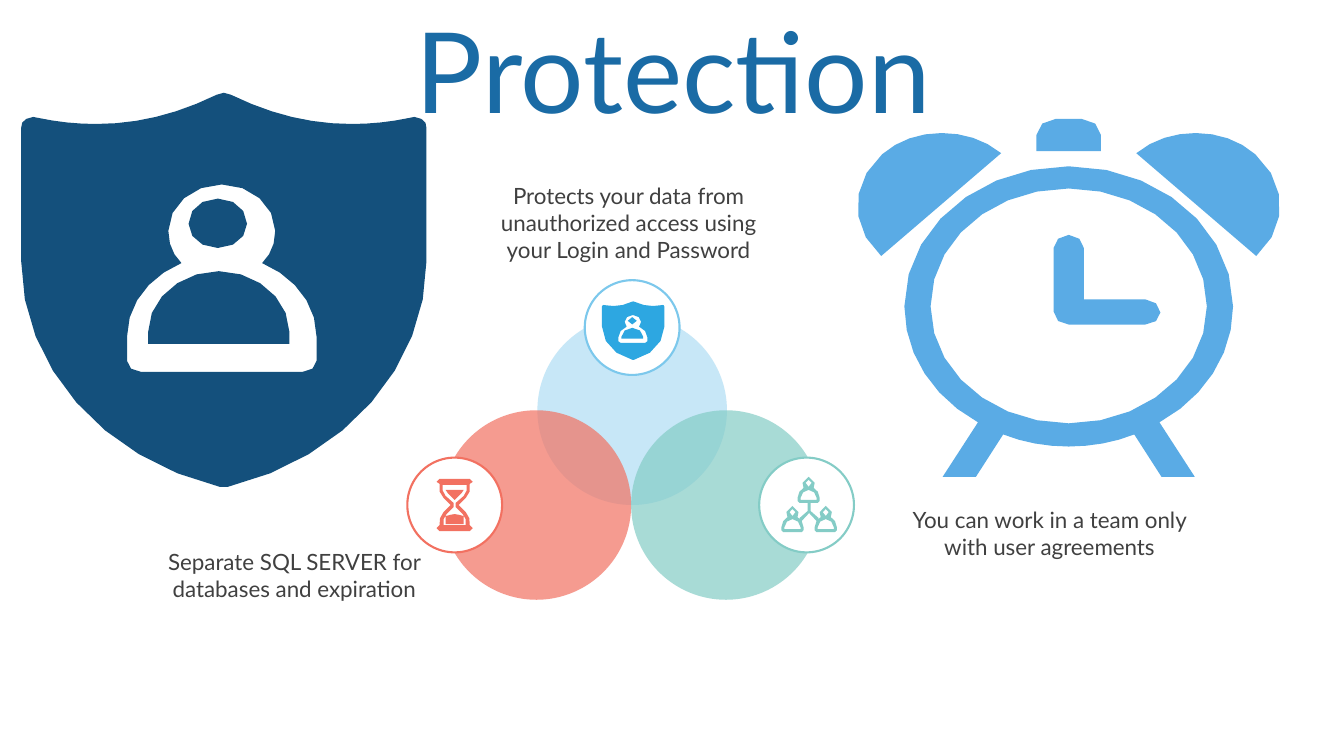
import math
from pptx import Presentation
from pptx import util as u
from pptx.dml.color import RGBColor
from pptx.enum import shapes, text
from pptx.oxml.ns import qn
from lxml import etree

# The grid: 1333 columns by 750 rows of square cells.
COLS, ROWS = 1333, 750
CELL = u.Inches(0.01)

WHITE = RGBColor(0xFF, 0xFF, 0xFF)
GRAY = RGBColor(0x40, 0x40, 0x40)
TITLE = RGBColor(0x1A, 0x6B, 0xA5)
NAVY = RGBColor(0x14, 0x50, 0x7C)
BLUE = RGBColor(0x5A, 0xAB, 0xE5)
SKY = RGBColor(0x2D, 0xA7, 0xE1)
RIM = RGBColor(0x7C, 0xC8, 0xEC)
PALE = RGBColor(0xB0, 0xDE, 0xF4)
CORAL = RGBColor(0xF2, 0x71, 0x61)
TEAL = RGBColor(0x84, 0xCC, 0xC6)

# Outlines hold points (x, y) and curves (x1, y1, x2, y2, x, y).
# A half starts on its axis of symmetry and is mirrored there.
BODY = [(217, 269), (179, 269, 147, 297, 147, 329), (147, 341), (217, 341)]
HEAD = [(216, 197), (199, 197, 187, 208, 187, 222),
        (187, 235, 199, 246, 216, 246)]
BUST = [(220, 183), (191, 183, 167, 204, 167, 229),
        (167, 243, 172, 253, 180, 261), (149, 274, 126, 301, 126, 334),
        (126, 358), (126, 364, 132, 369, 140, 369), (220, 369)]
CREST = [(222, 92), (215, 94), (174, 114, 135, 123, 95, 123),
         (76, 123, 57, 121, 38, 117), (33, 116),
         (30, 116, 27, 117, 26, 118), (22, 120, 21, 123, 21, 127),
         (21, 259), (21, 362, 101, 455, 218, 483), (222, 483)]

GLASS = [
    [(451, 475), (436, 475), (434, 475, 433, 476, 433, 478),
     (433, 479, 434, 480, 436, 480), (435, 485, 436, 491, 440, 494),
     (447, 501), (440, 508), (437, 512, 435, 516, 436, 521),
     (434, 521, 433, 522, 433, 524), (433, 526, 434, 527, 436, 527),
     (451, 527)],
    [(451, 481), (439, 481), (438, 484, 439, 489, 442, 492), (450, 499),
     (450, 503), (443, 510), (440, 513, 439, 517, 440, 521), (451, 521)],
    [(451, 486), (442, 486), (444, 489), (451, 496)],
    [(451, 510), (449, 510, 446, 511, 442, 512),
     (441, 515, 441, 518, 442, 520), (451, 520)],
]

MEMBER = [
    [(0, 0), (-3, 0, -6, 3, -6, 6), (-6, 8, -6, 9, -5, 11),
     (-8, 13, -11, 16, -11, 21), (-11, 24), (-9, 26), (0, 26)],
    [(0, 3), (-2, 3, -3, 5, -3, 6), (-3, 8, -2, 10, 0, 10)],
    [(0, 13), (-4, 13, -8, 17, -8, 21), (-8, 23), (0, 23)],
]
LINKS = [(802.5, 499), (801, 499), (801, 507), (793, 514), (795, 517),
         (802.5, 509)]

FRAME = [(1060, 165), (970, 165, 897, 227, 897, 304),
         (897, 352, 926, 395, 970, 419), (935, 473), (968, 473), (995, 431),
         (1015, 439, 1037, 443, 1060, 443)]
DIAL = [(1060, 187), (984, 187, 923, 239, 923, 304),
        (923, 368, 984, 420, 1060, 420)]
KNOB = [(1060, 118), (1047, 118), (1037, 118, 1028, 125, 1028, 134),
        (1028, 150), (1060, 150)]
HANDS = [(1060, 233), (1068, 233, 1075, 239, 1075, 246), (1075, 297),
         (1136, 297), (1144, 297, 1151, 303, 1151, 310),
         (1151, 317, 1144, 322, 1136, 322), (1060, 322),
         (1052, 322, 1045, 317, 1045, 309), (1045, 246),
         (1045, 239, 1052, 233, 1060, 233)]
BELL = [(934, 132), (955, 132, 976, 138, 993, 152), (874, 254),
        (842, 226, 843, 181, 875, 153), (891, 139, 912, 132, 934, 132)]


def trace(line):
    """Turn an outline into plain points, more of them on longer curves."""
    dots = [line[0]]
    for seg in line[1:]:
        if len(seg) == 2:
            dots.append(seg)
            continue
        ends = [dots[-1], seg[:2], seg[2:4], seg[4:]]
        steps = max(1, min(8, round(math.sqrt(math.dist(*ends[::3])) / 2)))
        for i in range(1, steps + 1):
            t = i / steps
            mix = ((1 - t) ** 3, 3 * t * (1 - t) ** 2,
                   3 * t * t * (1 - t), t ** 3)
            dots.append(tuple(sum(m * e[k] for m, e in zip(mix, ends))
                              for k in (0, 1)))
    return dots


def flip(dots, axis):
    return [(2 * axis - x, y) for x, y in reversed(dots)]


def whole(half):
    dots = trace(half)
    return dots + flip(dots, dots[0][0])[1:-1]


def shift(line, dx, dy, sx=1, sy=1):
    return [tuple(v * sy + dy if k % 2 else v * sx + dx
                  for k, v in enumerate(seg)) for seg in line]


class Deck:
    font = "Lato"

    def __init__(self):
        self.show = Presentation()
        self.show.slide_width = COLS * CELL
        self.show.slide_height = ROWS * CELL
        self.slide = self.show.slides.add_slide(self.show.slide_layouts[6])

    def disc(self, mid, size, fill, rim=None, alpha=None):
        box = (mid[0] - size / 2, mid[1] - size / 2, size, size)
        disc = self.slide.shapes.add_shape(
            shapes.MSO_SHAPE.OVAL, *(int(v * CELL) for v in box))
        self.paint(disc, fill)
        if rim is not None:
            disc.line.color.rgb = rim
            disc.line.width = u.Pt(1.5)
        if alpha:
            tint = disc.fill._xPr.find(qn("a:solidFill"))[0]
            etree.SubElement(tint, qn("a:alpha")).set("val", str(alpha * 1000))

    def form(self, loops, fill):
        """Draw closed loops as one shape; inner loops are holes."""
        loops = [[(round(x * CELL), round(y * CELL)) for x, y in loop]
                 for loop in loops]
        pen = self.slide.shapes.build_freeform(*loops[0][0])
        for i, loop in enumerate(loops):
            if i:
                pen.move_to(*loop[0])
            pen.add_line_segments(loop[1:], close=True)
        self.paint(pen.convert_to_shape(), fill)

    def paint(self, shape, fill):
        shape.shadow.inherit = False
        shape.fill.solid()
        shape.fill.fore_color.rgb = fill
        shape.line.fill.background()

    def shield(self, fill, x, y, wide, high):
        sx, sy = wide / 402, high / 391
        for part in ([BODY], [HEAD], [BUST, CREST]):
            self.form([whole(shift(half, x - 21 * sx, y - 92 * sy, sx, sy))
                       for half in part], fill)

    def label(self, words, box, size=16, color=GRAY):
        area = self.slide.shapes.add_textbox(*(v * CELL for v in box))
        frame = area.text_frame
        frame.text = words
        frame.word_wrap = True
        para = frame.paragraphs[0]
        para.alignment = text.PP_ALIGN.CENTER
        for run in para.runs:
            run.font.name = self.font
            run.font.size = u.Pt(size)
            run.font.color.rgb = color
        return frame


def main():
    deck = Deck()
    head = deck.label("Protection", (35, 37, 1266, 79), 80, TITLE)
    head.vertical_anchor = text.MSO_ANCHOR.MIDDLE
    head.paragraphs[0].line_spacing = 0.9
    head.paragraphs[0].space_before = u.Pt(10)

    for mid, fill in (((627, 407), PALE), ((532, 501), CORAL),
                      ((720, 501), TEAL)):
        deck.disc(mid, 188, fill, alpha=70)
    for mid, rim in (((627, 325), RIM), ((451, 501), CORAL),
                     ((800, 501), TEAL)):
        deck.disc(mid, 94, WHITE, rim)

    for words, box in (
            ("Protects your data from unauthorized access using "
             "your Login and Password", (467, 176, 313, 91)),
            ("Separate SQL SERVER for databases and expiration",
             (134, 539, 316, 64)),
            ("You can work in a team only with user agreements",
             (883, 497, 316, 64))):
        frame = deck.label(words, box)
        frame.auto_size = text.MSO_AUTO_SIZE.SHAPE_TO_FIT_TEXT

    deck.shield(SKY, 597, 299, 62, 58)
    deck.form([whole(half) for half in GLASS], CORAL)
    team = [whole(shift(half, *spot)) for half in MEMBER
            for spot in ((802, 473), (786, 502), (819, 502))]
    deck.form(team + [whole(LINKS)], TEAL)
    deck.shield(NAVY, 21, 92, 402, 391)
    bell = trace(BELL)
    clock = [whole(half) for half in (FRAME, DIAL, KNOB)]
    deck.form(clock + [trace(HANDS), bell, flip(bell, 1060)], BLUE)

    deck.show.save("out.pptx")


if __name__ == "__main__":
    main()
